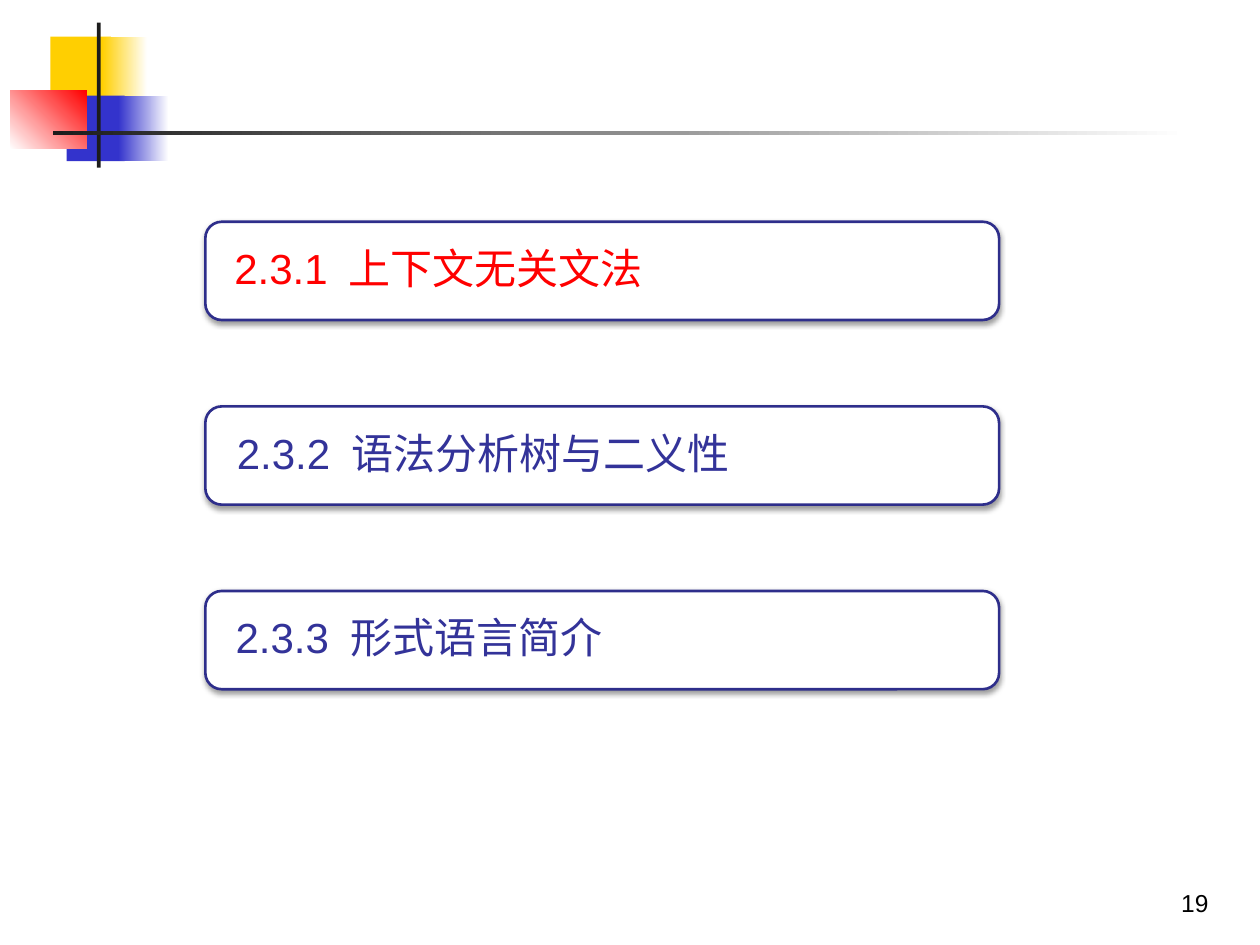
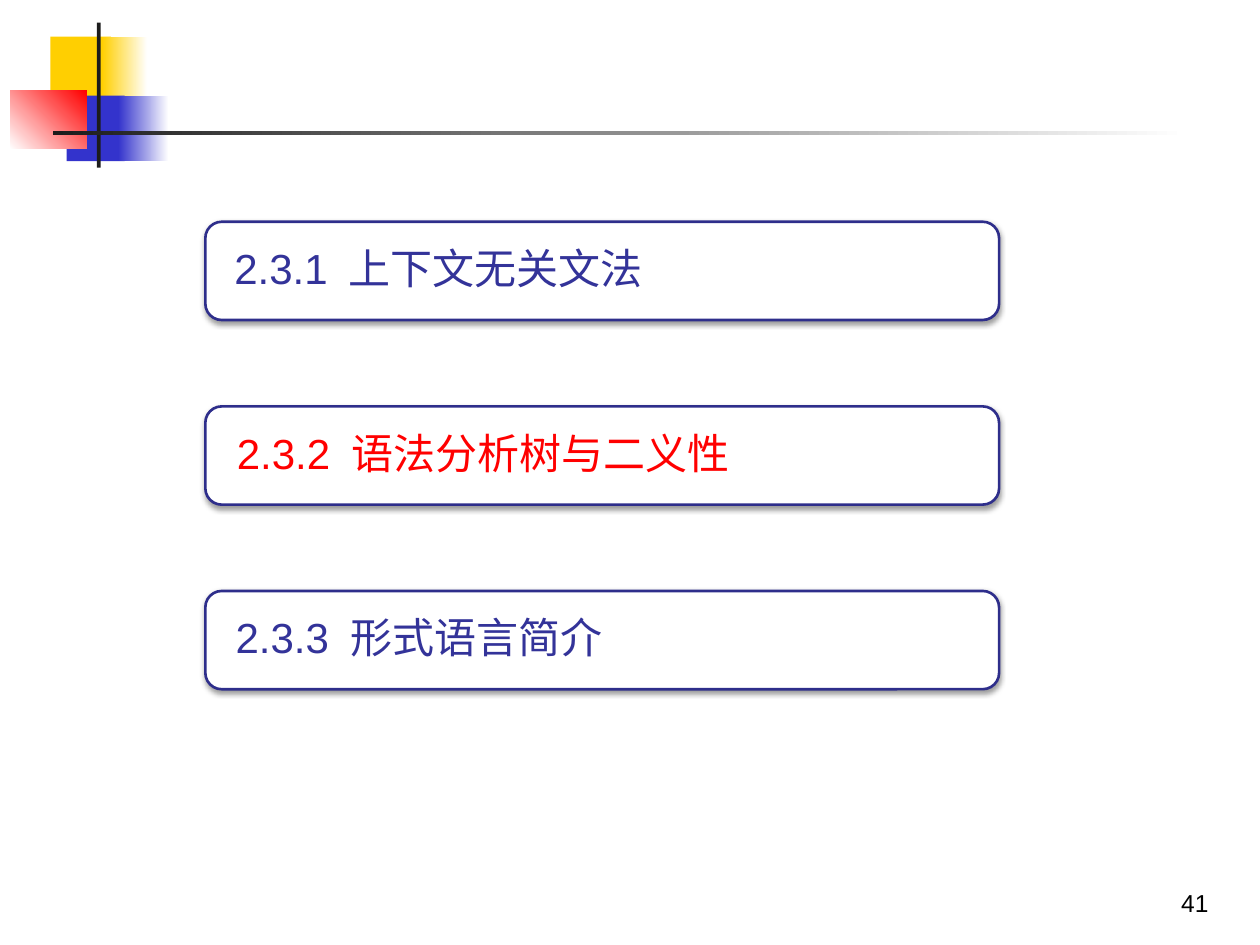
from dataclasses import dataclass

from lxml import etree
from pptx import Presentation
from pptx.dml.color import RGBColor
from pptx.enum.shapes import MSO_SHAPE
from pptx.enum.text import MSO_ANCHOR, PP_ALIGN
from pptx.oxml.ns import qn
from pptx.util import Inches, Pt

RECT, ROUND_RECT = MSO_SHAPE.RECTANGLE, MSO_SHAPE.ROUNDED_RECTANGLE
MIDDLE, BOTTOM = MSO_ANCHOR.MIDDLE, MSO_ANCHOR.BOTTOM
LEFT, RIGHT = PP_ALIGN.LEFT, PP_ALIGN.RIGHT
BLANK_LAYOUT = 6


@dataclass(frozen=True)
class Theme:
    font: str = "Arial"
    white: str = "FFFFFF"
    black: str = "000000"
    yellow: str = "FFCF01"
    blue: str = "3333CC"
    red: str = "FF0000"
    rule: str = "1C1C1C"
    card_border: str = "2E2E8B"
    section: str = "333399"
    section_size: int = 24
    page_size: int = 14


THEME = Theme()

# Corner ornament: left, top, width, height, colours, gradient angle
ORNAMENT = [
    (0.4, 0.29, 0.48, 0.52, [THEME.yellow], 0),
    (0.81, 0.29, 0.36, 0.52, [THEME.yellow, THEME.white], 0),
    (0.53, 0.76, 0.46, 0.52, [THEME.blue], 0),
    (0.94, 0.76, 0.4, 0.52, [THEME.blue, THEME.white], 0),
    (0.08, 0.72, 0.61, 0.46, [THEME.white, THEME.red], 45),
    (0.77, 0.18, 0.03, 1.15, [THEME.rule], 0),
    (0.42, 1.04, 9, 0.03, [THEME.rule, THEME.white], 0),
]

# Section cards: number, heading, inset of the label within its card
SECTIONS = [
    ("2.3.1", "上下文无关文法", 0.03),
    ("2.3.2", "语法分析树与二义性", 0.05),
    ("2.3.3", "形式语言简介", 0.04),
]
CARD_LEFT, CARD_WIDTH, CARD_HEIGHT = 1.63, 6.3, 0.78
FIRST_TOP, LAST_TOP = 1.76, 4.69
CARD_PITCH = (LAST_TOP - FIRST_TOP) / (len(SECTIONS) - 1)
HEADING_TAB = 0.91

# Page number and the section it highlights
PAGES = [("19", "2.3.1"), ("41", "2.3.2")]


def write_text(shape, text, *, size, color, align=LEFT, anchor=MIDDLE,
               side_inset=0.1, end_inset=0.05, line_spacing=None, tab=None):
    frame = shape.text_frame
    frame.word_wrap = True
    frame.vertical_anchor = anchor
    frame.margin_left = frame.margin_right = Inches(side_inset)
    frame.margin_top = frame.margin_bottom = Inches(end_inset)
    paragraph = frame.paragraphs[0]
    paragraph.alignment = align
    paragraph.line_spacing = line_spacing
    if tab:
        stops = etree.SubElement(paragraph._p.get_or_add_pPr(), qn("a:tabLst"))
        etree.SubElement(stops, qn("a:tab"), pos=str(Inches(tab)), algn="l")
    run = paragraph.add_run()
    run.text = text
    run.font.name = THEME.font
    run.font.size = Pt(size)
    run.font.color.rgb = RGBColor.from_string(color)


def add_soft_shadow(shape):
    effects = shape._element.spPr.find(qn("a:effectLst"))
    shadow = etree.SubElement(
        effects, qn("a:outerShdw"), blurRad=str(Pt(3.1)), dist=str(Pt(1.6)),
        dir="5400000", rotWithShape="0")
    color = etree.SubElement(shadow, qn("a:srgbClr"), val=THEME.black)
    etree.SubElement(color, qn("a:alpha"), val="38000")


class Deck:
    def __init__(self, theme):
        self.theme = theme
        self.presentation = Presentation()
        self.presentation.slide_width = Inches(10)
        self.presentation.slide_height = Inches(7.5)
        self.slide = None

    def new_slide(self, page):
        layout = self.presentation.slide_layouts[BLANK_LAYOUT]
        self.slide = self.presentation.slides.add_slide(layout)
        for left, top, width, height, colors, angle in ORNAMENT:
            self.block(self.slide.shapes, RECT, (left, top, width, height),
                       colors, angle)
        self.label(self.slide.shapes, (7.61, 6.83, 2.08, 0.5), page,
                   size=self.theme.page_size, color=self.theme.black,
                   align=RIGHT, anchor=BOTTOM)

    def block(self, shapes, kind, box, colors, angle=0):
        shape = shapes.add_shape(kind, *map(Inches, box))
        shape.shadow.inherit = False
        shape.line.fill.background()
        if len(colors) == 1:
            shape.fill.solid()
            shape.fill.fore_color.rgb = RGBColor.from_string(colors[0])
        else:
            shape.fill.gradient()
            shape.fill.gradient_angle = angle
            for stop, color in zip(shape.fill.gradient_stops, colors):
                stop.color.rgb = RGBColor.from_string(color)
        return shape

    def label(self, shapes, box, text, **text_format):
        write_text(shapes.add_textbox(*map(Inches, box)), text, **text_format)

    def section_card(self, top, number, heading, inset, color):
        shapes = self.slide.shapes.add_group_shape().shapes
        card = self.block(shapes, ROUND_RECT,
                          (CARD_LEFT, top, CARD_WIDTH, CARD_HEIGHT),
                          [self.theme.white])
        card.line.color.rgb = RGBColor.from_string(self.theme.card_border)
        card.line.width = Pt(1.5)
        add_soft_shadow(card)
        label_box = (CARD_LEFT + inset, top + 0.04,
                     CARD_WIDTH - 2 * inset, CARD_HEIGHT - 0.08)
        self.label(shapes, label_box, f"{number}\t{heading}",
                   size=self.theme.section_size, color=color, side_inset=0.2,
                   end_inset=0, line_spacing=0.9, tab=HEADING_TAB)


def main():
    deck = Deck(THEME)
    for page, current in PAGES:
        deck.new_slide(page)
        for row, (number, heading, inset) in enumerate(SECTIONS):
            color = THEME.red if number == current else THEME.section
            deck.section_card(FIRST_TOP + row * CARD_PITCH, number, heading,
                              inset, color)
    deck.presentation.save("out.pptx")


if __name__ == "__main__":
    main()
